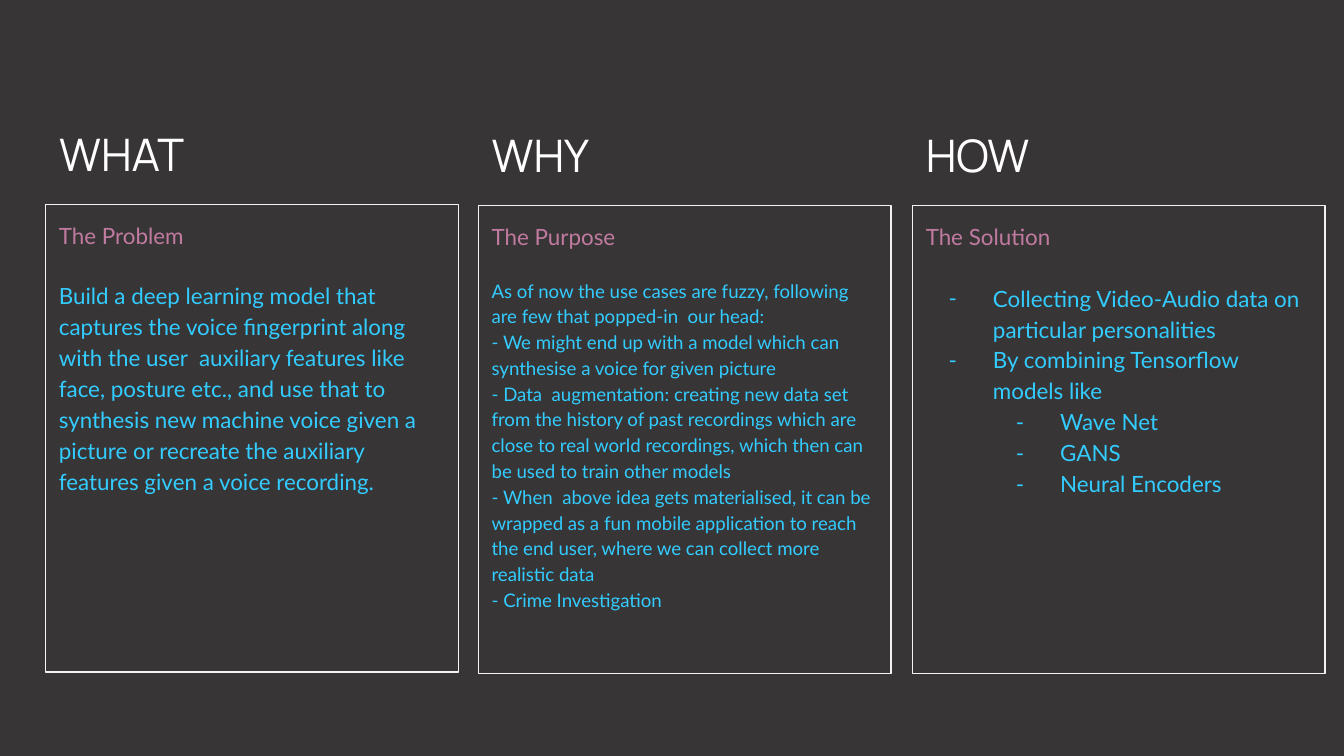
from lxml import etree
from pptx import Presentation
from pptx.dml.color import RGBColor
from pptx.enum.shapes import MSO_SHAPE
from pptx.enum.text import MSO_ANCHOR, MSO_AUTO_SIZE, PP_ALIGN
from pptx.oxml.ns import qn
from pptx.util import Inches, Pt

RECTANGLE = MSO_SHAPE.RECTANGLE
TOP, BOTTOM = MSO_ANCHOR.TOP, MSO_ANCHOR.BOTTOM
LEFT = PP_ALIGN.LEFT
NO_AUTO_SIZE = MSO_AUTO_SIZE.NONE

BACKGROUND = RGBColor(0x37, 0x35, 0x36)
WHITE = RGBColor(0xFF, 0xFF, 0xFF)
BORDER = RGBColor(0xF3, 0xF3, 0xF3)
PINK = RGBColor(0xC2, 0x7B, 0xA0)
CYAN = RGBColor(0x33, 0xCC, 0xFF)

COLUMN_WIDTH = 3.07
HEADING_HEIGHT = 0.83
PANEL_HEIGHT = 3.48
PANEL_OFFSET = 0.91

# Each column: left, top, heading, subheading, body size, gap above the body,
# and body paragraphs as (bullet level, text), where level 0 has no bullet
COLUMNS = [
    (0.34, 0.61, "WHAT", "The Problem", 12, 16, [
        (0, "Build a deep learning model that captures the voice fingerprint "
            "along with the user  auxiliary features like face, posture etc., "
            "and use that to synthesis new machine voice given a picture or "
            "recreate the auxiliary features given a voice recording."),
    ]),
    (3.56, 0.62, "WHY", "The Purpose", 10, 14, [
        (0, "As of now the use cases are fuzzy, following are few that "
            "popped-in  our head:"),
        (0, "- We might end up with a model which can synthesise a voice for "
            "given picture"),
        (0, "- Data  augmentation: creating new data set from the history of "
            "past recordings which are close to real world recordings, which "
            "then can be used to train other models"),
        (0, "- When  above idea gets materialised, it can be wrapped as a fun "
            "mobile application to reach the end user, where we can collect "
            "more realistic data"),
        (0, "- Crime Investigation"),
    ]),
    (6.79, 0.62, "HOW", "The Solution", 12, 16.5, [
        (1, "Collecting Video-Audio data on particular personalities"),
        (1, "By combining Tensorflow models like"),
        (2, "Wave Net"),
        (2, "GANS"),
        (2, "Neural Encoders"),
    ]),
]


def add_bullet(paragraph, level, color, font):
    """Give a paragraph a hanging dash, half an inch deeper per level."""
    properties = paragraph._p.get_or_add_pPr()
    properties.set("marL", str(Inches(0.5 * level)))
    properties.set("indent", str(Inches(-0.33)))
    bullet_color = etree.SubElement(properties, qn("a:buClr"))
    etree.SubElement(bullet_color, qn("a:srgbClr"), val=str(color))
    etree.SubElement(properties, qn("a:buFont"), typeface=font)
    etree.SubElement(properties, qn("a:buChar"), char="-")


def write_paragraph(frame, text, *, size, color, font="Lato", first=False,
                    line_spacing=1.15, space_before=0, level=0):
    paragraph = frame.paragraphs[0] if first else frame.add_paragraph()
    paragraph.alignment = LEFT
    paragraph.line_spacing = line_spacing
    if not first:
        paragraph.space_before = Pt(space_before)
    if level:
        add_bullet(paragraph, level, color, font)
    run = paragraph.add_run()
    run.text = text
    run.font.name = font
    run.font.size = Pt(size)
    run.font.color.rgb = color


class SlideBuilder:
    heading_font = "Manrope"
    heading_size = 24
    subheading_size = 12
    margin = Inches(0.1)

    def __init__(self, slide):
        self.slide = slide
        slide.background.fill.solid()
        slide.background.fill.fore_color.rgb = BACKGROUND

    def prepare_frame(self, shape, anchor):
        frame = shape.text_frame
        frame.word_wrap = True
        frame.auto_size = NO_AUTO_SIZE
        frame.vertical_anchor = anchor
        frame.margin_left = frame.margin_right = self.margin
        frame.margin_top = frame.margin_bottom = self.margin
        return frame

    def heading(self, text, left, top, is_title):
        place = [Inches(value)
                 for value in (left, top, COLUMN_WIDTH, HEADING_HEIGHT)]
        if is_title:
            shape = self.slide.shapes.title
            shape.left, shape.top, shape.width, shape.height = place
        else:
            shape = self.slide.shapes.add_textbox(*place)
        frame = self.prepare_frame(shape, BOTTOM)
        write_paragraph(frame, text, size=self.heading_size, color=WHITE,
                        font=self.heading_font, first=True, line_spacing=1.0)

    def panel(self, left, top, subheading, size, gap, body):
        shape = self.slide.shapes.add_shape(
            RECTANGLE, Inches(left), Inches(top),
            Inches(COLUMN_WIDTH), Inches(PANEL_HEIGHT))
        shape.shadow.inherit = False
        shape.fill.background()
        shape.line.color.rgb = BORDER
        shape.line.width = Pt(0.75)
        frame = self.prepare_frame(shape, TOP)
        write_paragraph(frame, subheading, size=self.subheading_size,
                        color=PINK, first=True)
        for index, (level, text) in enumerate(body):
            write_paragraph(frame, text, size=size, color=CYAN, level=level,
                            space_before=gap if index == 0 else 0)


def main():
    # Widescreen 16:9 slide
    presentation = Presentation()
    presentation.slide_width = Inches(10)
    presentation.slide_height = Inches(10) * 9 // 16
    title_only = presentation.slide_layouts[5]
    builder = SlideBuilder(presentation.slides.add_slide(title_only))

    # Three columns, the first heading being the slide title
    for index, column in enumerate(COLUMNS):
        left, top, heading, subheading, size, gap, body = column
        builder.heading(heading, left, top, is_title=index == 0)
        builder.panel(left, top + PANEL_OFFSET, subheading, size, gap, body)

    presentation.save("out.pptx")


if __name__ == "__main__":
    main()
